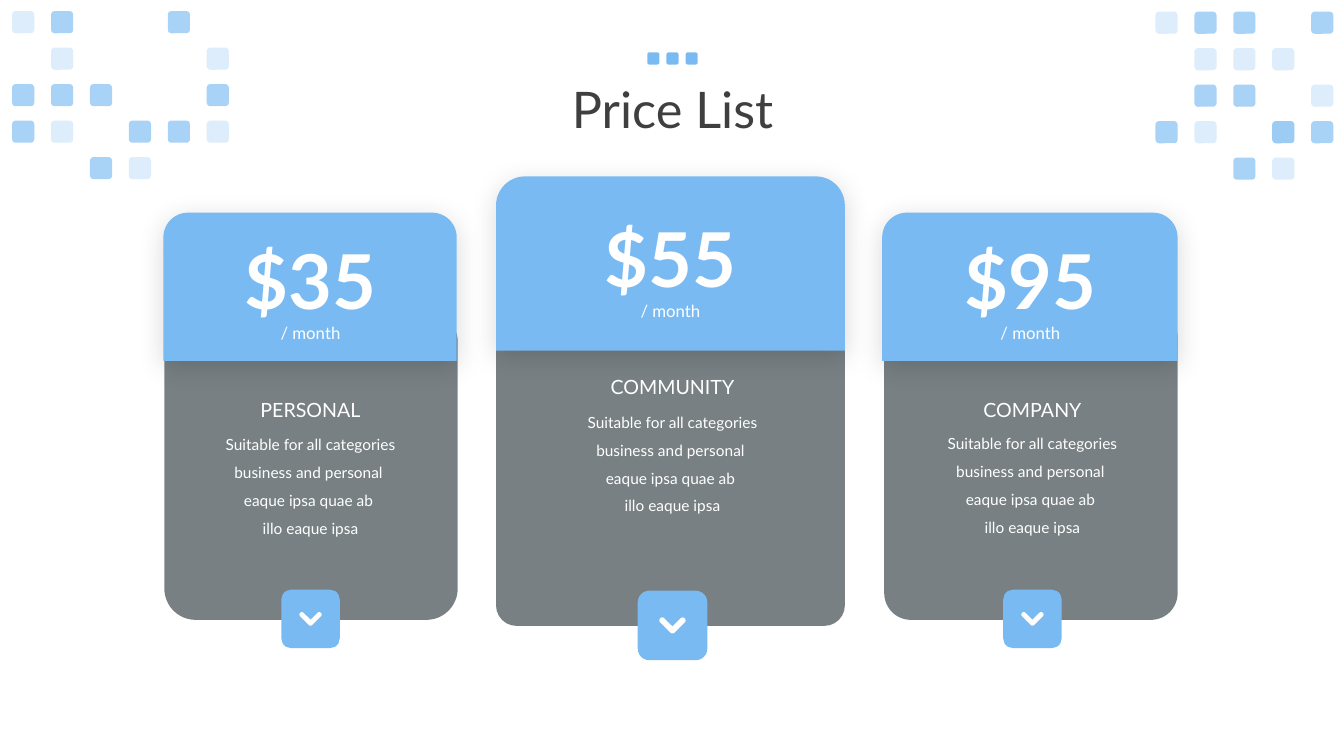
from dataclasses import dataclass
from math import cos, radians, sin

from lxml.etree import SubElement
from pptx import Presentation
from pptx.dml.color import RGBColor
from pptx.enum.shapes import MSO_SHAPE
from pptx.enum.text import MSO_ANCHOR, MSO_AUTO_SIZE, PP_ALIGN
from pptx.oxml.ns import qn
from pptx.util import Inches, Pt


@dataclass(frozen=True)
class Theme:
    font: str = "Lato"
    blue: str = "7ABAF2"
    panel: str = "313C41"
    white: str = "FFFFFF"
    heading: str = "3F3F3F"
    shadow: str = "000000"
    title_size: int = 36
    price_size: int = 54
    name_size: int = 14
    month_size: int = 12
    body_size: int = 11


@dataclass(frozen=True)
class Box:
    x: float
    y: float
    w: float
    h: float

    def emu(self) -> tuple:
        return tuple(Inches(v) for v in (self.x, self.y, self.w, self.h))


@dataclass(frozen=True)
class Card:
    name: str
    price: str
    panel: Box
    corner: float
    header: Box
    price_x: float
    label_x: float
    price_y: float
    name_y: float
    body_y: float
    icon_y: float
    icon: float
    chevron: float


@dataclass(frozen=True)
class Mosaic:
    x: float
    y: float
    rows: tuple


THEME = Theme()
DESCRIPTION = ("Suitable for all categories business and personal ",
               "eaque ipsa quae ab ", "illo eaque ipsa")
CARDS = (
    Card("PERSONAL", "$35", Box(1.63, 3.08, 2.91, 3.07), 0.107, Box(1.62, 2.11, 2.91, 1.47),
         3.08, 3.08, 2.27, 3.9, 4.18, 5.85, 0.58, 0.22),
    Card("COMMUNITY", "$55", Box(4.92, 2.58, 3.46, 3.63), 0.059, Box(4.92, 1.75, 3.46, 1.73),
         6.65, 6.67, 2.05, 3.67, 3.96, 5.86, 0.69, 0.26),
    Card("COMPANY", "$95", Box(8.77, 3.08, 2.91, 3.07), 0.091, Box(8.75, 2.11, 2.93, 1.47),
         10.22, 10.24, 2.27, 3.9, 4.17, 5.85, 0.58, 0.22),
)
# D is a dark tile, L a light one, B a light tile over a dark one
TILE_ALPHAS = {"D": (65,), "L": (25,), "B": (65, 25), ".": ()}
MOSAICS = (
    Mosaic(0.12, 0.11, ("LD..D.", ".L...L", "DDD..D", "DL.DDL", "..DL..")),
    Mosaic(11.46, 0.115, ("LDD.D", ".LLL.", ".DD.L", "DL.BD", "..DL.")),
)
COLUMN_STEP, ROW_STEP, TILE = 0.386, 0.362, 0.22


def paint(shape, color: str, alpha: int = 100) -> None:
    shape.shadow.inherit = False
    shape.fill.solid()
    shape.fill.fore_color.rgb = RGBColor.from_string(color)
    shape.line.fill.background()
    if alpha < 100:
        clr = shape._element.spPr.find(qn("a:solidFill")).find(qn("a:srgbClr"))
        SubElement(clr, qn("a:alpha"), val=str(alpha * 1000))


def add_block(shapes, kind: MSO_SHAPE, box: Box, color: str, alpha: int = 100):
    shape = shapes.add_shape(kind, *box.emu())
    paint(shape, color, alpha)
    return shape


def add_soft_shadow(shape) -> None:
    effects = shape._element.spPr.find(qn("a:effectLst"))
    outer = SubElement(effects, qn("a:outerShdw"), blurRad=str(Pt(19)), dist=str(Pt(4)),
                       dir=str(90 * 60000), algn="t", rotWithShape="0")
    clr = SubElement(outer, qn("a:srgbClr"), val=THEME.shadow)
    SubElement(clr, qn("a:alpha"), val="15000")


def format_text(tf, size: int, color: str, spacing: float, bold: bool = False) -> None:
    for p in tf.paragraphs:
        p.alignment = PP_ALIGN.CENTER
        p.line_spacing = spacing
        for r in p.runs:
            r.font.name = THEME.font
            r.font.size = Pt(size)
            r.font.bold = bold
            r.font.color.rgb = RGBColor.from_string(color)


def add_label(s, text: str, center: float, y: float, w: float, h: float,
              size: int, spacing: float = 1.0, bold: bool = False) -> None:
    tf = s.shapes.add_textbox(*Box(center - w / 2, y, w, h).emu()).text_frame
    tf.word_wrap = True
    tf.auto_size = MSO_AUTO_SIZE.SHAPE_TO_FIT_TEXT
    tf.text = text
    format_text(tf, size, THEME.white, spacing, bold)


def add_chevron(s, center: float, middle: float, width: float) -> None:
    """Round-ended V, with its outline in fractions of the width."""
    radius, height = 0.11, 0.61

    def arc(cx: float, cy: float, start: int, end: int) -> list:
        return [(cx + radius * cos(radians(a)), cy + radius * sin(radians(a)))
                for a in range(start, end + 1, 15)]

    outline = (arc(radius, radius, 135, 315) + [(0.5, 0.5 - radius * 2 ** 0.5)]
               + arc(1 - radius, radius, 225, 405) + arc(0.5, 0.5, 45, 135))
    points = [(Inches(center + (x - 0.5) * width), Inches(middle + (y - height / 2) * width))
              for x, y in outline]
    builder = s.shapes.build_freeform(*points[0], scale=1.0)
    builder.add_line_segments(points[1:], close=True)
    paint(builder.convert_to_shape(), THEME.white)


def add_card(s, card: Card) -> None:
    panel = add_block(s.shapes, MSO_SHAPE.ROUNDED_RECTANGLE, card.panel, THEME.panel, 65)
    panel.adjustments[0] = card.corner
    header = add_block(s.shapes, MSO_SHAPE.ROUND_2_SAME_RECTANGLE, card.header, THEME.blue)
    add_soft_shadow(header)
    add_label(s, card.price, card.price_x, card.price_y, 1.7, 1.01, THEME.price_size, bold=True)
    add_label(s, "/ month", card.price_x, card.price_y + 0.78, 1.1, 0.36, THEME.month_size, 1.5)
    add_label(s, "\n".join(DESCRIPTION), card.label_x, card.body_y, 2.11, 1.18,
              THEME.body_size, 1.5)
    add_label(s, card.name, card.label_x, card.name_y, 1.92, 0.34, THEME.name_size)
    icon = Box(card.label_x - card.icon / 2, card.icon_y, card.icon, card.icon)
    add_block(s.shapes, MSO_SHAPE.ROUNDED_RECTANGLE, icon, THEME.blue)
    add_chevron(s, card.label_x, card.icon_y + card.icon / 2, card.chevron)


def add_mosaic(s, mosaic: Mosaic) -> None:
    group = s.shapes.add_group_shape()
    for i, row in enumerate(mosaic.rows):
        for j, mark in enumerate(row):
            box = Box(mosaic.x + j * COLUMN_STEP, mosaic.y + i * ROW_STEP, TILE, TILE)
            for alpha in TILE_ALPHAS[mark]:
                add_block(group.shapes, MSO_SHAPE.ROUNDED_RECTANGLE, box, THEME.blue, alpha)


def main() -> None:
    prs = Presentation()
    prs.slide_width, prs.slide_height = Inches(13.33), Inches(7.5)
    s = prs.slides.add_slide(prs.slide_layouts[5])

    # Title
    title = s.shapes.title
    title.left, title.top, title.width, title.height = Box(0.92, 0.39, 11.5, 1.45).emu()
    tf = title.text_frame
    tf.text = "Price List"
    tf.vertical_anchor = MSO_ANCHOR.MIDDLE
    format_text(tf, THEME.title_size, THEME.heading, 0.9)

    # Price cards
    for card in CARDS:
        add_card(s, card)

    # Corner mosaics
    for mosaic in MOSAICS:
        add_mosaic(s, mosaic)

    # Three dots above the title
    dots = s.shapes.add_group_shape()
    for i in range(3):
        dot = Box(6.42 + i * 0.19, 0.52, 0.12, 0.12)
        add_block(dots.shapes, MSO_SHAPE.ROUNDED_RECTANGLE, dot, THEME.blue)

    prs.save("out.pptx")


if __name__ == "__main__":
    main()
